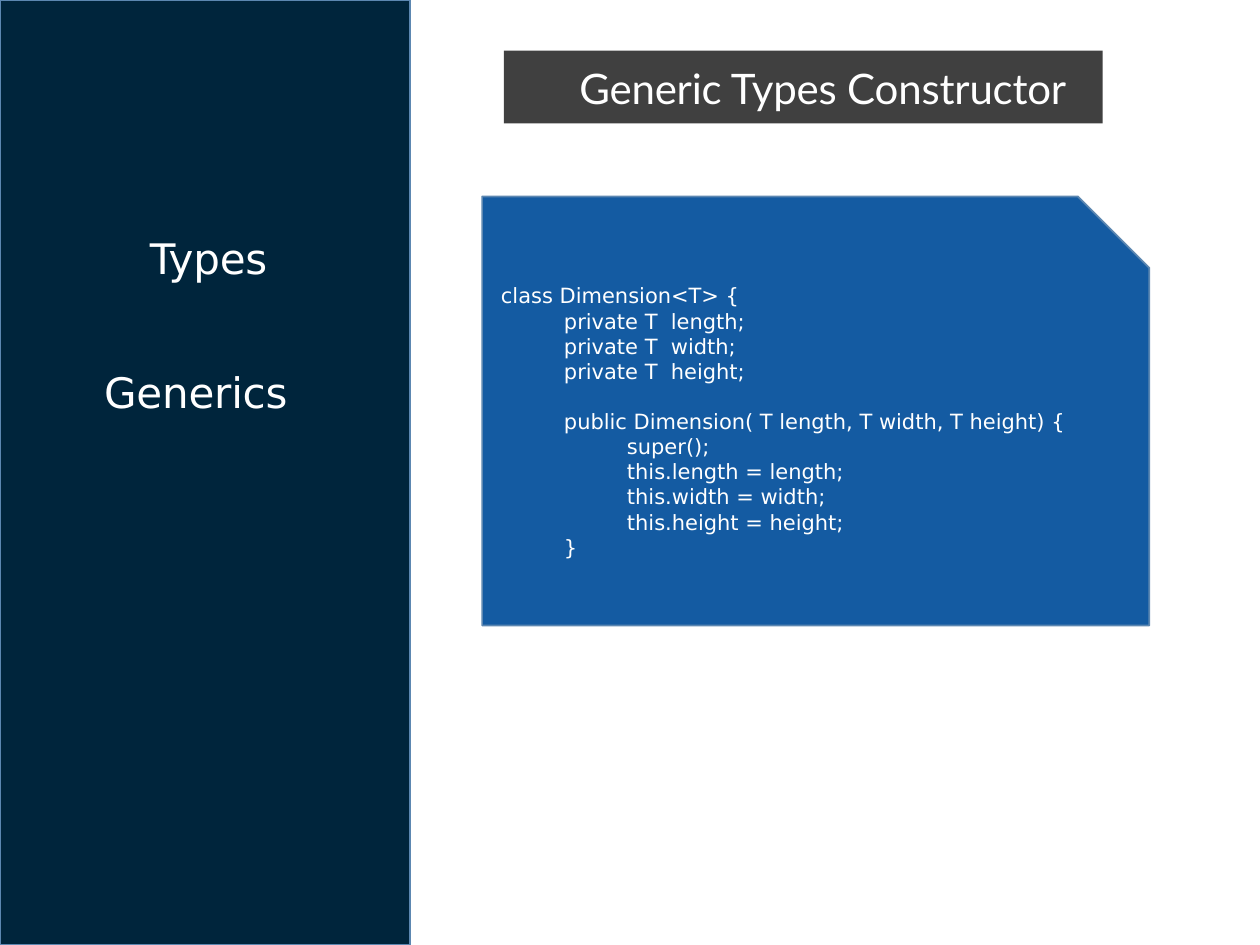
from pptx import Presentation
from pptx.dml.color import RGBColor
from pptx.enum.shapes import MSO_SHAPE
from pptx.enum.text import MSO_ANCHOR
from pptx.util import Cm, Pt

COLORS = {
    "navy": "00253C",
    "blue": "145BA2",
    "outline": "5C87B1",
    "charcoal": "404040",
    "white": "FFFFFF",
}
BODY_FONT = "DejaVu Sans"
TITLE_FONT = "Lato"

# Each line of code: nesting level, text, space before in points
CODE_LINES = [
    (0, "class Dimension<T> {", 0),
    (1, "private T  length;", 0),
    (1, "private T  width;", 0),
    (1, "private T  height;", 0),
    (1, "public Dimension( T length, T width, T height) {", 14),
    (2, "super();", 0),
    (2, "this.length = length;", 0),
    (2, "this.width = width;", 0),
    (2, "this.height = height;", 0),
    (1, "}", 0),
]


def add_panel(slide, kind, box, fill, outline=None):
    shape = slide.shapes.add_shape(kind, *map(Cm, box))
    shape.shadow.inherit = False
    shape.fill.solid()
    shape.fill.fore_color.rgb = RGBColor.from_string(COLORS[fill])
    if outline:
        shape.line.color.rgb = RGBColor.from_string(COLORS[outline])
        shape.line.width = Pt(1)
    else:
        shape.line.fill.background()


def set_font(paragraph, name, size):
    paragraph.font.name = name
    paragraph.font.size = Pt(size)
    paragraph.font.color.rgb = RGBColor.from_string(COLORS["white"])


def add_heading(slide, box, text, font_name):
    """Place one line of large text, set in from the left of its box."""
    frame = slide.shapes.add_textbox(*map(Cm, box)).text_frame
    frame.word_wrap = True
    frame.vertical_anchor = MSO_ANCHOR.MIDDLE
    frame.margin_left = Cm(1.52)
    frame.margin_top = Cm(0.03)
    frame.margin_right = frame.margin_bottom = 0
    paragraph = frame.paragraphs[0]
    run = paragraph.add_run()
    run.text = text
    run._r.get_or_add_rPr().set("spc", "-10")
    set_font(paragraph, font_name, 24)


def add_sidebar(slide, left, top, width, height):
    add_panel(slide, MSO_SHAPE.RECTANGLE, (left, top, width, height), "navy", "outline")
    add_heading(slide, (left + 1.5, top + 4.65, 5.26, 1.07), "Types", BODY_FONT)
    add_heading(slide, (left + 0.58, top + 7.34, 7.09, 1.07), "Generics", BODY_FONT)


def add_title(slide, left, top, width, height):
    add_panel(slide, MSO_SHAPE.RECTANGLE, (left, top, width, height), "charcoal")
    add_heading(slide, (left, top + 0.2, width, 1.07),
                "Generic Types Constructor", TITLE_FONT)


def add_code_card(slide, left, top, width, height):
    add_panel(slide, MSO_SHAPE.SNIP_1_RECTANGLE, (left, top, width, height),
              "blue", "outline")
    text_box = slide.shapes.add_textbox(
        Cm(left + 0.13), Cm(top + 1.62), Cm(width - 0.51), Cm(5.9))
    frame = text_box.text_frame
    frame.word_wrap = True
    for index, (level, text, space_before) in enumerate(CODE_LINES):
        paragraph = frame.add_paragraph() if index else frame.paragraphs[0]
        paragraph.text = text
        paragraph.level = level
        properties = paragraph._p.get_or_add_pPr()
        properties.set("marL", str(Cm(1.27 * level)))
        properties.set("indent", "0")
        if space_before:
            paragraph.space_before = Pt(space_before)
        set_font(paragraph, BODY_FONT, 12)


def main():
    presentation = Presentation()
    presentation.slide_width = Cm(25.4)
    presentation.slide_height = Cm(19.05)
    slide = presentation.slides.add_slide(presentation.slide_layouts[6])

    add_sidebar(slide, 0, 0, 8.26, 19.05)
    add_title(slide, 10.16, 1.02, 12.07, 1.47)
    add_code_card(slide, 9.72, 3.96, 13.45, 8.65)

    presentation.save("out.pptx")


if __name__ == "__main__":
    main()
